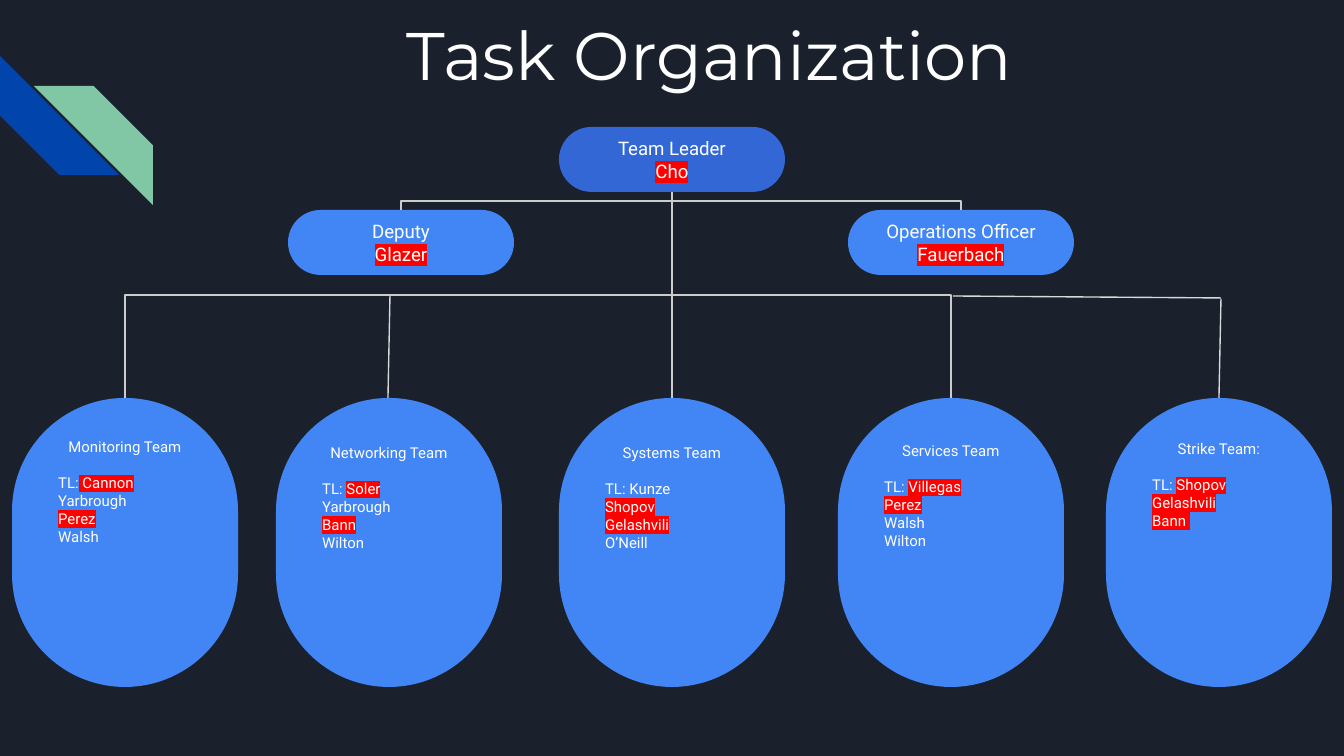
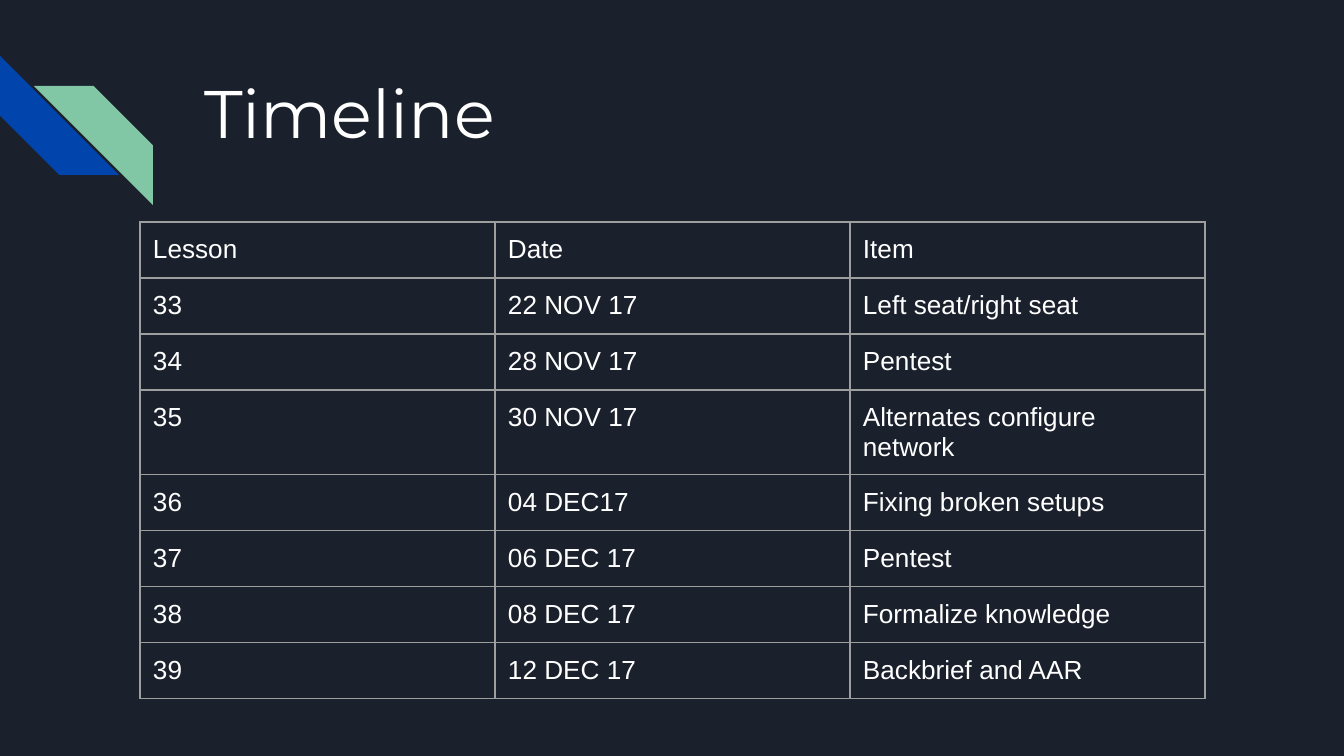
from lxml.etree import SubElement
from pptx import Presentation
from pptx.dml.color import RGBColor
from pptx.enum.shapes import MSO_CONNECTOR as CXN, MSO_SHAPE as SHAPE
from pptx.enum.text import MSO_ANCHOR as ANCHOR, MSO_AUTO_SIZE as AUTO, PP_ALIGN as ALIGN
from pptx.oxml.ns import qn
from pptx.util import Emu, Pt

NAVY = RGBColor(0x1B, 0x21, 0x2C)
DEEP_BLUE = RGBColor(0x01, 0x45, 0xAC)
MINT = RGBColor(0x82, 0xC7, 0xA5)
WHITE = RGBColor(0xFF, 0xFF, 0xFF)
LEADER_BLUE = RGBColor(0x33, 0x67, 0xD6)
BLUE = RGBColor(0x42, 0x85, 0xF4)
RED = RGBColor(0xFF, 0x00, 0x00)
LINE_GREY = RGBColor(0xCC, 0xCC, 0xCC)
PALE_GREY = RGBColor(0xD9, 0xD9, 0xD9)
BORDER_GREY = RGBColor(0x9E, 0x9E, 0x9E)

TITLE_FONT = {"name": "Montserrat", "size": Pt(36), "bold": False}
ROLE_FONT = {"name": "Roboto", "size": Pt(10)}
TEAM_FONT = {"name": "Roboto", "size": Pt(8)}
CELL_FONT = {"name": "Arial", "size": Pt(14)}
INSET = 13

PILL_W, PILL_H = 226, 65
TEAM_TOP, TEAM_H = 398, 289

# Text after "|" is highlighted
ROLES = [
    (559, 127, LEADER_BLUE, ["Team Leader", "|Cho"]),
    (848, 210, BLUE, ["Operations Officer", "|Fauerbach"]),
    (288, 210, BLUE, ["Deputy", "|Glazer"]),
]
# Left edge, top inset, heading, members
TEAMS = [
    (12, 7, "Monitoring Team", ["TL:| Cannon", "Yarbrough", "|Perez", "Walsh"]),
    (276, 13, "Networking Team", ["TL: |Soler", "Yarbrough", "|Bann", "Wilton"]),
    (559, 13, "Systems Team", ["TL: Kunze", "|Shopov", "|Gelashvili", "O’Neill"]),
    (838, 11, "Services Team", ["TL: |Villegas", "|Perez", "Walsh", "Wilton"]),
    (1106, 9, "Strike Team:", ["TL: |Shopov", "|Gelashvili", "|Bann "]),
]
TIMELINE = [
    ("Lesson", "Date", "Item"),
    ("33", "22 NOV 17", "Left seat/right seat"),
    ("34", "28 NOV 17", "Pentest"),
    ("35", "30 NOV 17", "Alternates configure network"),
    ("36", "04 DEC17", "Fixing broken setups"),
    ("37", "06 DEC 17", "Pentest"),
    ("38", "08 DEC 17", "Formalize knowledge"),
    ("39", "12 DEC 17", "Backbrief and AAR"),
]


def px(n):
    return Emu(round(n * 914400 / 134.4))


def set_attrs(obj, values):
    for name, value in values.items():
        setattr(obj, name, value)


def insets(obj, top=INSET):
    set_attrs(obj, {"margin_left": px(INSET), "margin_right": px(INSET),
                    "margin_top": px(top), "margin_bottom": px(INSET)})


def add_run(p, text, font, highlight=None):
    r = p.add_run()
    r.text = text
    set_attrs(r.font, font)
    r.font.color.rgb = WHITE
    if highlight is not None:
        latin = r.font.color and r.font._element.find(qn("a:latin"))
        mark = SubElement(r.font._element, qn("a:highlight"))
        SubElement(mark, qn("a:srgbClr"), val=str(highlight))
        latin.addprevious(mark)


def add_line(p, text, font, align):
    p.alignment = align
    plain, _, marked = text.partition("|")
    if plain:
        add_run(p, plain, font)
    if marked:
        add_run(p, marked, font, RED)


def add_box(slide, kind, box, color):
    s = slide.shapes.add_shape(kind, *map(px, box))
    s.shadow.inherit = False
    s.fill.solid()
    s.fill.fore_color.rgb = color
    s.line.fill.background()
    s.adjustments[0] = 0.5
    return s


# Shared look: background and corner stripes
def dress_template(prs, layout, slide):
    fill = prs.slide_master.background.fill
    fill.solid()
    fill.fore_color.rgb = NAVY
    blue = add_box(slide, SHAPE.DIAGONAL_STRIPE, (0, 56, 119, 119), DEEP_BLUE)
    blue.rotation = 270
    mint = add_box(slide, SHAPE.DIAGONAL_STRIPE, (34, 86, 119, 119), MINT)
    mint.element.spPr.find(qn("a:xfrm")).set("flipH", "1")
    for i, s in enumerate((blue, mint)):
        s.element.nvSpPr.cNvPr.id = 20 + i
        layout.shapes.element.insert(2 + i, s.element)


def add_title(slide, text, box, align):
    s = slide.shapes.title
    set_attrs(s, dict(zip(("left", "top", "width", "height"), map(px, box))))
    tf = s.text_frame
    set_attrs(tf, {"word_wrap": True, "auto_size": AUTO.NONE,
                   "vertical_anchor": ANCHOR.TOP})
    insets(tf)
    add_line(tf.paragraphs[0], text, TITLE_FONT, align)


def add_role(slide, x, y, color, lines):
    s = add_box(slide, SHAPE.ROUNDED_RECTANGLE, (x, y, PILL_W, PILL_H), color)
    tf = s.text_frame
    set_attrs(tf, {"word_wrap": True, "vertical_anchor": ANCHOR.MIDDLE})
    insets(tf)
    for i, line in enumerate(lines):
        p = tf.add_paragraph() if i else tf.paragraphs[0]
        add_line(p, line, ROLE_FONT, ALIGN.CENTER)


def add_team(slide, x, top_inset, heading, members):
    box = (x, TEAM_TOP, PILL_W, TEAM_H)
    tf = add_box(slide, SHAPE.ROUNDED_RECTANGLE, box, BLUE).text_frame
    set_attrs(tf, {"word_wrap": True, "vertical_anchor": ANCHOR.TOP})
    insets(tf, top_inset)
    add_line(tf.paragraphs[0], heading, TEAM_FONT, ALIGN.CENTER)
    tf.paragraphs[0].space_after = Pt(9.4)
    for member in members:
        add_line(tf.add_paragraph(), member, TEAM_FONT, ALIGN.LEFT)


def add_link(slide, kind, points, color):
    c = slide.shapes.add_connector(kind, *map(px, points))
    c.line.color.rgb = color
    c.line.width = Pt(0.75)
    SubElement(c.element.spPr, qn("a:effectLst"))
    return c


def add_elbow(slide, x1, y1, x2, y2):
    """Elbow that leaves vertically, running from left to right."""
    cx, cy = (x1 + x2) / 2, (y1 + y2) / 2
    half_w, half_h = abs(y2 - y1) / 2, (x2 - x1) / 2
    c = add_link(slide, CXN.ELBOW,
                 (cx - half_w, cy - half_h, cx + half_w, cy + half_h), LINE_GREY)
    xfrm = c.element.spPr.find(qn("a:xfrm"))
    xfrm.set("rot", str(270 * 60000))
    if y2 > y1:
        xfrm.set("flipH", "1")


def organization_slide(slide):
    add_title(slide, "Task Organization", (192, 0, 1035, 134), ALIGN.CENTER)
    for role in ROLES:
        add_role(slide, *role)
    for team in TEAMS:
        add_team(slide, *team)

    # Links from the leader
    leader = (672, 192)
    add_elbow(slide, *leader, 961, 210)
    add_elbow(slide, 401, 210, *leader)
    add_elbow(slide, 125, TEAM_TOP, *leader)
    add_elbow(slide, 672, TEAM_TOP, *leader)

    # Links from the crossbar to the other teams
    corner = add_link(slide, CXN.ELBOW, (574, 295, 951, TEAM_TOP), LINE_GREY)
    corner.element.spPr.find(qn("a:prstGeom")).set("prst", "bentConnector2")
    for points in ((1219, TEAM_TOP, 1221, 299), (1221, 298, 953, 296),
                   (388, TEAM_TOP, 390, 296)):
        add_link(slide, CXN.STRAIGHT, points, PALE_GREY)


def add_borders(cell):
    tc_pr = cell._tc.get_or_add_tcPr()
    for side in ("a:lnL", "a:lnR", "a:lnT", "a:lnB"):
        ln = SubElement(tc_pr, qn(side), w=str(Pt(0.75)))
        fill = SubElement(ln, qn("a:solidFill"))
        SubElement(fill, qn("a:srgbClr"), val=str(BORDER_GREY))


def add_timeline(slide, x, y, col_w, row_h):
    rows, cols = len(TIMELINE), len(TIMELINE[0])
    table = slide.shapes.add_table(
        rows, cols, px(x), px(y), px(cols * col_w), px(rows * row_h)).table
    set_attrs(table, {"first_row": False, "horz_banding": False})
    for i, row in enumerate(TIMELINE):
        for j, text in enumerate(row):
            cell = table.cell(i, j)
            insets(cell)
            add_borders(cell)
            cell.fill.background()
            add_line(cell.text_frame.paragraphs[0], text, CELL_FONT, ALIGN.LEFT)


def timeline_slide(slide):
    add_title(slide, "Timeline", (191, 58, 1035, 134), ALIGN.LEFT)
    add_timeline(slide, 140, 222, 355, 56)


def main():
    prs = Presentation()
    prs.slide_width, prs.slide_height = px(1344), px(756)
    layout = prs.slide_layouts[5]
    first, second = (prs.slides.add_slide(layout) for _ in range(2))
    dress_template(prs, layout, first)
    organization_slide(first)
    timeline_slide(second)
    prs.save("out.pptx")


if __name__ == "__main__":
    main()
